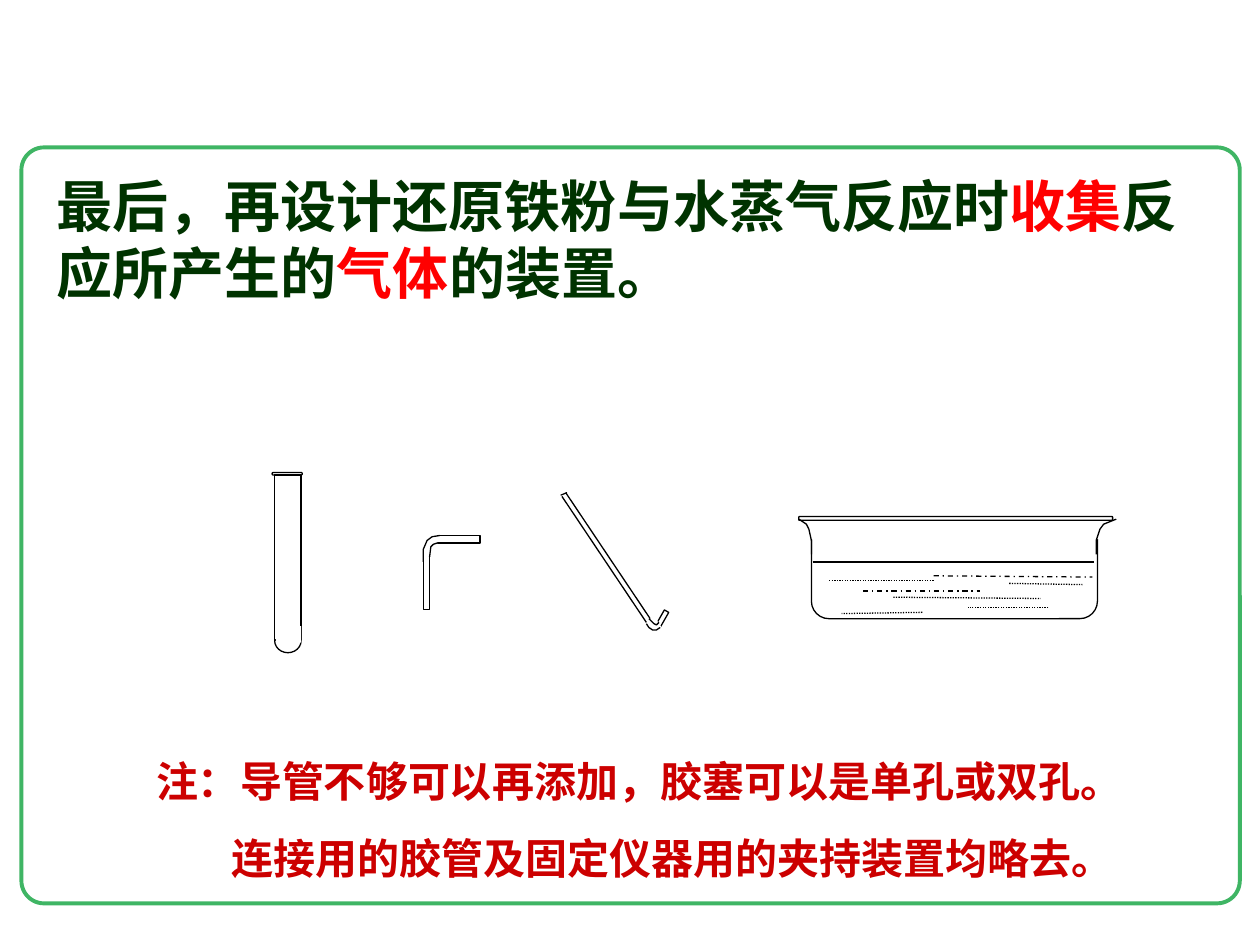
import pptx
import pptx.dml.color
import pptx.enum.dml
import pptx.enum.shapes
import pptx.util

RGB = pptx.dml.color.RGBColor
SHAPE = pptx.enum.shapes.MSO_SHAPE
DASH = pptx.enum.dml.MSO_LINE
Inches = pptx.util.Inches

WHITE = RGB(0xFF, 0xFF, 0xFF)
BLACK = RGB(0, 0, 0)
FRAME_GREEN = RGB(0x3F, 0xB5, 0x64)
DARK_GREEN = RGB(0, 0x33, 0)
RED = RGB(0xFF, 0, 0)
NOTE_RED = RGB(0xCC, 0, 0)

TASK = [[
    ("最后，再设计", DARK_GREEN, "Arial"),
    ("还原铁粉", DARK_GREEN, "Noto Sans CJK SC"),
    ("与水蒸气反应时", DARK_GREEN, "Arial"),
    ("收集", RED, "Arial"),
    ("反应所产生的", DARK_GREEN, "Arial"),
    ("气体", RED, "Arial"),
    ("的装置。", DARK_GREEN, "Arial"),
]]
NOTES = [
    [("注：导管不够可以再添加，胶塞可以是单孔或双孔。", NOTE_RED, "Arial")],
    [("连接用的胶管及固定仪器用的夹持装置均略去。", NOTE_RED, "Arial")],
]

TEST_TUBE = [
    ("round", (2.16, 3.75, 0.24, 0.02), {"adj": 0.5}),
    ("oval", (2.18, 4.99, 0.21, 0.19), {}),
    ("path", [(2.18, 3.77), (2.18, 5.08), (2.39, 5.08), (2.39, 3.77)],
     {"fill": WHITE, "close": True}),
    ("rect", (2.19, 4.97, 0.2, 0.13), {"line": None}),
]
TROUGH = [
    ("round", (6.44, 4.09, 2.27, 0.82), {"adj": 0.17}),
    ("rect", (6.18, 4.06, 2.58, 0.22), {"line": None}),
    ("round", (6.34, 4.1, 2.49, 0.03), {"adj": 0.17}),
    ("path", [(6.44, 4.4), (6.44, 4.29), (6.42, 4.2), (6.4, 4.16), (6.34, 4.12)], {}),
    ("line", (6.45, 4.46, 8.68, 4.46), {}),
    ("line", (7.09, 4.74, 8.26, 4.75), {"dash": DASH.ROUND_DOT}),
    ("line", (6.85, 4.69, 7.78, 4.69), {"dash": DASH.DASH_DOT}),
    ("line", (6.58, 4.61, 7.41, 4.61), {"dash": DASH.ROUND_DOT}),
    ("line", (7.41, 4.57, 8.67, 4.58), {"dash": DASH.DASH_DOT}),
    ("line", (7.32, 4.86, 6.68, 4.87), {"dash": DASH.ROUND_DOT}),
    ("path", [(8.7, 4.4), (8.7, 4.29), (8.73, 4.2), (8.76, 4.16), (8.86, 4.12)], {}),
    ("line", (8.32, 4.82, 7.68, 4.82), {"dash": DASH.ROUND_DOT}),
    ("line", (8.01, 4.63, 8.59, 4.64), {"dash": DASH.ROUND_DOT}),
]
HOOKED_TUBE = [
    ("rect", (5.17, 4.9, 0.16, 0.04), {"rotation": 119.7}),
    ("rect", (5.16, 4.93, 0.08, 0.09), {"rotation": 147.4, "line": None}),
    ("path", [(5.24, 4.98), (5.21, 5), (5.18, 5), (5.15, 4.98), (5.13, 4.95)], {}),
    ("path", [(5.23, 4.94), (5.21, 4.96), (5.19, 4.95), (5.15, 4.91)], {}),
    ("line", (5.13, 4.94, 4.46, 3.94), {}),
    ("line", (5.16, 4.91, 4.49, 3.91), {}),
    ("path", [(4.5, 3.91), (4.45, 3.93)], {}),
]
ELBOW_TUBE = [
    ("rect", (3.45, 4.25, 0.36, 0.06), {}),
    ("rect", (3.36, 4.39, 0.05, 0.45), {}),
    ("rect", (3.35, 4.22, 0.12, 0.19), {"line": None}),
    ("path", [(3.49, 4.25), (3.43, 4.26), (3.39, 4.29), (3.36, 4.36), (3.36, 4.46)], {}),
    ("path", [(3.47, 4.31), (3.44, 4.32), (3.42, 4.34), (3.41, 4.42)], {}),
]
PRESETS = {"round": SHAPE.ROUNDED_RECTANGLE, "oval": SHAPE.OVAL, "rect": SHAPE.RECTANGLE}


def style(sp, fill=None, line=BLACK, width=0.75):
    sp.shadow.inherit = False
    if fill is None:
        sp.fill.background()
    else:
        sp.fill.solid()
        sp.fill.fore_color.rgb = fill
    if line is None:
        sp.line.fill.background()
    else:
        sp.line.color.rgb = line
        sp.line.width = pptx.util.Pt(width)


def add_preset(shapes, kind, box, adj=None, rotation=0, fill=WHITE, **line_format):
    sp = shapes.add_shape(PRESETS[kind], *map(Inches, box))
    if adj is not None:
        sp.adjustments[0] = adj
    sp.rotation = rotation
    style(sp, fill, **line_format)


def add_path(shapes, points, fill=None, close=False):
    start, *rest = [tuple(map(Inches, point)) for point in points]
    builder = shapes.build_freeform(*start)
    builder.add_line_segments(rest, close=close)
    style(builder.convert_to_shape(), fill)


def add_line(shapes, ends, dash=None):
    straight = pptx.enum.shapes.MSO_CONNECTOR.STRAIGHT
    cx = shapes.add_connector(straight, *map(Inches, ends))
    cx.line.color.rgb = BLACK
    cx.line.width = pptx.util.Pt(0.75)
    if dash:
        cx.line.dash_style = dash
    spPr = cx._element.spPr
    spPr.append(spPr.makeelement(pptx.oxml.ns.qn("a:effectLst"), {}))


def add_apparatus(s, parts):
    shapes = s.shapes.add_group_shape().shapes
    for kind, geometry, options in parts:
        if kind == "line":
            add_line(shapes, geometry, **options)
        elif kind == "path":
            add_path(shapes, geometry, **options)
        else:
            add_preset(shapes, kind, geometry, **options)


def add_text(s, paragraphs, box, size, gap=0, later_indent=0):
    tf = s.shapes.add_textbox(*map(Inches, box)).text_frame
    tf.word_wrap = True
    for i, runs in enumerate(paragraphs):
        p = tf.add_paragraph() if i else tf.paragraphs[0]
        if i:
            p.space_before = pptx.util.Pt(gap)
            p._p.get_or_add_pPr().set("marL", str(Inches(later_indent)))
        for text, color, font in runs:
            r = p.add_run()
            r.text = text
            r.font.name = font
            r.font.size = pptx.util.Pt(size)
            r.font.bold = True
            r.font.color.rgb = color


def main():
    prs = pptx.Presentation()
    prs.slide_width, prs.slide_height = Inches(10), Inches(7.5)
    s = prs.slides.add_slide(prs.slide_layouts[6])
    add_preset(s.shapes, "round", (0.17, 1.17, 9.67, 6), adj=0.03,
               fill=None, line=FRAME_GREEN, width=2.25)
    add_text(s, TASK, (0.35, 1.31, 9.29, 1.17), 32)
    for parts in (TEST_TUBE, TROUGH, HOOKED_TUBE, ELBOW_TUBE):
        add_apparatus(s, parts)
    add_text(s, NOTES, (1.14, 5.95, 8.27, 1.11), 24, gap=15, later_indent=0.6)
    prs.save("out.pptx")


if __name__ == "__main__":
    main()
